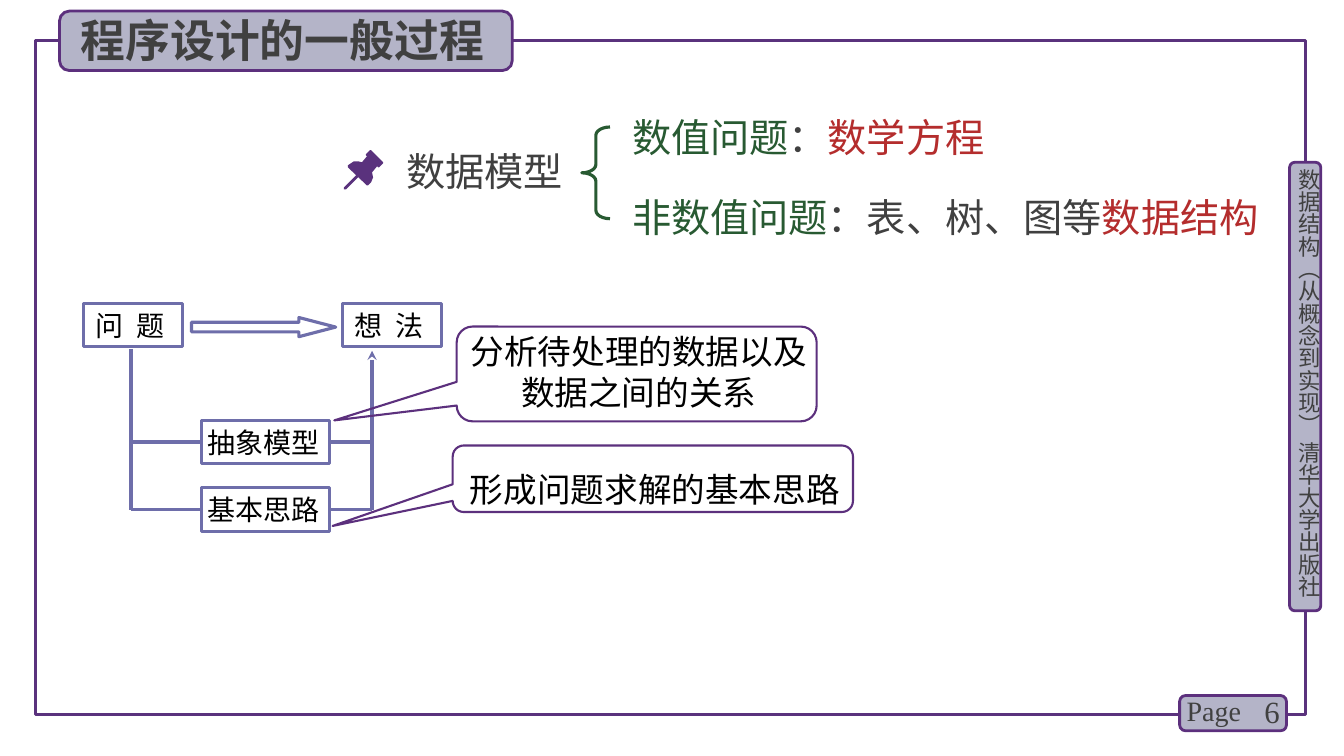
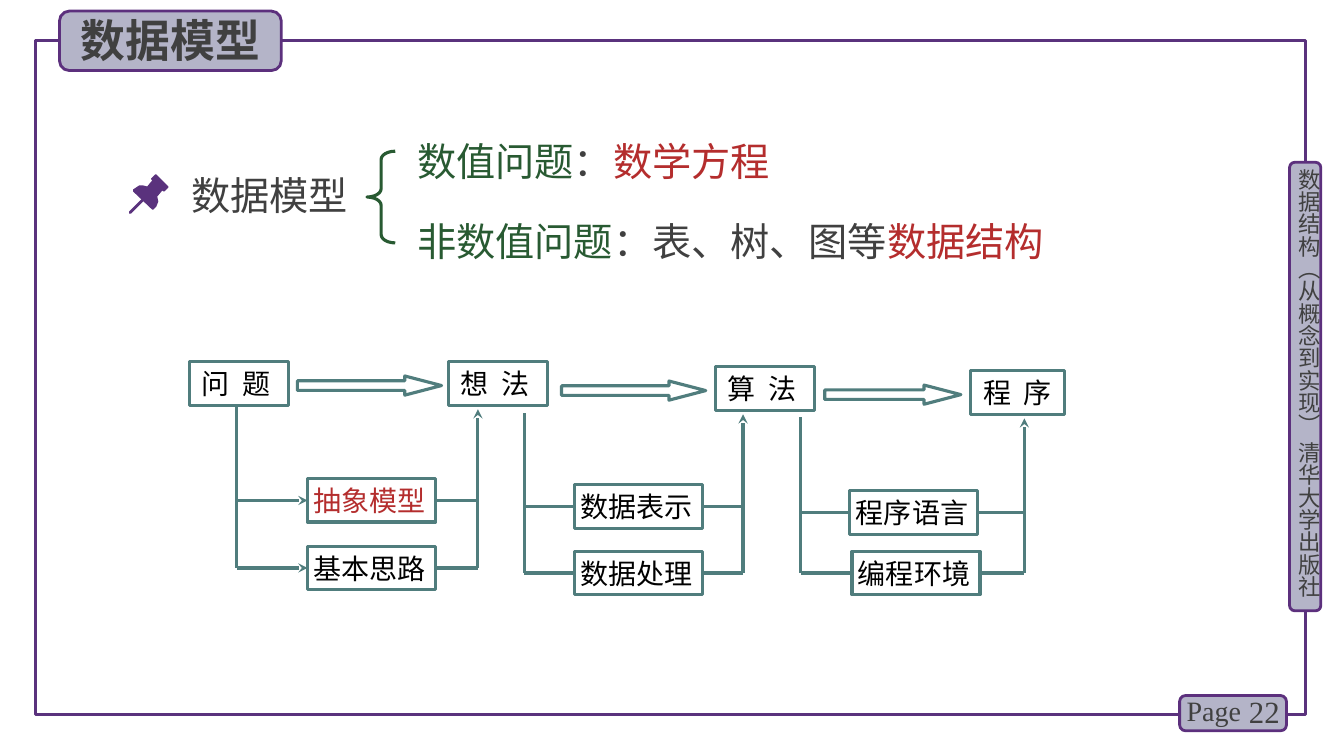
from dataclasses import dataclass

from lxml import etree
from pptx import Presentation
from pptx.dml.color import RGBColor
from pptx.enum import shapes, text
from pptx.oxml.ns import qn
from pptx.util import Inches, Pt

SHAPE = shapes.MSO_SHAPE
ALIGN = text.PP_ALIGN
ANCHOR = text.MSO_ANCHOR


@dataclass(frozen=True)
class Theme:
    frame: str = "5A327D"
    edge: str = "5C307D"
    band: str = "B4B4C8"
    ink: str = "404040"
    black: str = "000000"
    green: str = "285A32"
    red: str = "B42D2D"
    violet: str = "6E6EAA"
    teal: str = "507D7D"
    chinese: str = "Noto Sans CJK SC"
    latin: str = "Times New Roman"
    callout_font: str = "Calibri"
    title_size: int = 32
    body_size: int = 28
    callout_size: int = 24
    number_size: int = 22
    node_size: int = 20
    side_size: int = 16
    line: float = 2.25
    band_line: float = 2
    callout_line: float = 1.5


THEME = Theme()
NODE_HEIGHT = 0.43
HEAD_WIDTH = 0.98
DETAIL_WIDTH = 1.27

# Pin outline, measured from the top left corner of the pin
PIN_HEAD = [(.39, .12), (.27, 0), (.26, 0), (.22, .04), (.22, .05), (.23, .06), (.18, .12),
            (.14, .11), (.1, .11), (.04, .15), (.04, .17), (.23, .35), (.24, .35), (.27, .32),
            (.29, .27), (.28, .22), (.33, .16), (.34, .17), (.35, .17), (.39, .13)]
PIN_NEEDLE = [(.01, .39), (0, .39), (0, .37), (.13, .24), (.15, .24), (.15, .26), (.02, .39)]


@dataclass
class Stage:
    """One step of the process: from a head node, through two details, to the next head."""
    arrow: tuple    # left, width
    target: tuple   # text, left, top, width
    drop: tuple     # x, top
    details: list   # (text, left, top, colour)
    riser: float    # x
    pointed: bool = False


# Text
def add_span(para, words, size, color, font=THEME.chinese, bold=False, spacing=0):
    span = para.add_run()
    span.text = words
    span.font.size = Pt(size)
    span.font.bold = bold
    span.font.color.rgb = RGBColor.from_string(color)
    span.font.name = font
    properties = span.font._element
    etree.SubElement(properties, qn("a:ea")).set("typeface", font)
    if spacing:
        properties.set("spc", str(round(spacing * 100)))


def set_frame(box, insets=(0.1, 0.05, 0.1, 0.05), anchor=ANCHOR.MIDDLE, align=ALIGN.LEFT):
    frame = box.text_frame
    frame.word_wrap = True
    frame.auto_size = text.MSO_AUTO_SIZE.NONE
    frame.vertical_anchor = anchor
    (frame.margin_left, frame.margin_top,
     frame.margin_right, frame.margin_bottom) = map(Inches, insets)
    para = frame.paragraphs[0]
    para.alignment = align
    return para


def add_label(page, at, spans, size, font=THEME.chinese, align=ALIGN.LEFT, line_spacing=None):
    box = page.shapes.add_textbox(*map(Inches, at))
    para = set_frame(box, align=align)
    if line_spacing:
        para.line_spacing = line_spacing
    for words, color in spans:
        add_span(para, words, size, color, font)
    return box


# Shapes and lines
def style_shape(shape, line=None, width=THEME.line, fill=None):
    shape.shadow.inherit = False
    if fill:
        shape.fill.solid()
        shape.fill.fore_color.rgb = RGBColor.from_string(fill)
    else:
        shape.fill.background()
    if line:
        shape.line.color.rgb = RGBColor.from_string(line)
        shape.line.width = Pt(width)
    else:
        shape.line.fill.background()


def add_outline(page, kind, at, line, width=THEME.line, fill=None, adjustments=()):
    shape = page.shapes.add_shape(kind, *map(Inches, at))
    style_shape(shape, line, width, fill)
    for index, value in enumerate(adjustments):
        shape.adjustments[index] = value
    return shape


def add_band(page, at):
    add_outline(page, SHAPE.ROUNDED_RECTANGLE, at, THEME.edge, THEME.band_line, THEME.band)


def add_polygon(page, points, left, top, fill):
    places = [(Inches(left + x), Inches(top + y)) for x, y in points]
    builder = page.shapes.build_freeform(*places[0])
    builder.add_line_segments(places[1:], close=True)
    style_shape(builder.convert_to_shape(), fill=fill)


def add_line(page, start, end, color, pointed=False):
    line = page.shapes.add_connector(shapes.MSO_CONNECTOR.STRAIGHT, *map(Inches, start + end))
    line.line.color.rgb = RGBColor.from_string(color)
    line.line.width = Pt(THEME.line)
    if pointed:
        etree.SubElement(line.line._get_or_add_ln(), qn("a:tailEnd")).set("type", "stealth")
    etree.SubElement(line._element.spPr, qn("a:effectLst"))
    return line


def add_callout(page, at, tip, words, line_spacing=None):
    box = add_outline(page, SHAPE.ROUNDED_RECTANGULAR_CALLOUT, at, THEME.edge,
                      THEME.callout_line, adjustments=(*tip, 0.167))
    para = set_frame(box, (0.04, 0, 0, 0), ANCHOR.TOP, ALIGN.CENTER)
    if line_spacing:
        para.line_spacing = line_spacing
    add_span(para, words, THEME.callout_size, THEME.black, THEME.callout_font)


# Shared page furniture
def add_page(deck, title, band_width, number):
    page = deck.slides.add_slide(deck.slide_layouts[5])
    add_outline(page, SHAPE.RECTANGLE, (0.35, 0.4, 12.6, 6.69), THEME.frame)

    # Side band
    add_band(page, (12.79, 1.61, 0.31, 4.45))
    side = page.shapes.add_textbox(*map(Inches, (12.85, 1.67, 0.27, 4.49)))
    para = set_frame(side, (0, 0, 0, 0))
    side.text_frame._txBody.bodyPr.set("vert", "eaVert")
    add_span(para, "数据结构（从概念到实现） 清华大学出版社", THEME.side_size, THEME.ink)

    # Page number
    add_band(page, (11.7, 6.9, 1.06, 0.35))
    add_label(page, (12.2, 6.86, 0.59, 0.4), [(str(number), THEME.ink)],
              THEME.number_size, THEME.latin, ALIGN.RIGHT)
    add_label(page, (11.67, 6.83, 0.78, 0.44), [("Page", THEME.ink)],
              THEME.node_size, THEME.latin)

    # Title, brought in front of its band
    add_band(page, (0.59, 0.11, band_width, 0.59))
    box = page.shapes.title
    box.left, box.top, box.width, box.height = map(Inches, (0.7, 0.07, band_width, 0.64))
    add_span(set_frame(box), title, THEME.title_size, THEME.ink, bold=True)
    box.element.getparent().append(box.element)
    return page


# Data model summary
def add_data_model(page, left, top):
    for outline in (PIN_HEAD, PIN_NEEDLE):
        add_polygon(page, outline, left, top + 0.49, THEME.frame)
    add_label(page, (left + 0.52, top + 0.41, 1.83, 0.57), [("数据模型", THEME.ink)],
              THEME.body_size)
    add_outline(page, SHAPE.LEFT_BRACE, (left + 2.36, top + 0.26, 0.28, 0.91), THEME.green,
                adjustments=(0.293, 0.5))
    rows = [
        [("数值问题", THEME.green), ("：", THEME.ink), ("数学方程", THEME.red)],
        [("非数值问题", THEME.green), ("：表、树、图等", THEME.ink), ("数据结构", THEME.red)],
    ]
    for index, spans in enumerate(rows):
        add_label(page, (left + 2.76, top + 0.79 * index, 6.51, 0.62), spans,
                  THEME.body_size, line_spacing=1.2)


# Process diagram
def add_node(page, at, words, line, color=THEME.black, inset=0.06, spacing=0):
    box = add_outline(page, SHAPE.RECTANGLE, at, line)
    para = set_frame(box, (inset, 0.01, 0.06, 0.01))
    add_span(para, words, THEME.node_size, color, spacing=spacing)
    return box


def add_head(page, words, left, top, width, line):
    add_node(page, (left, top, width, NODE_HEIGHT), words, line, inset=0.12, spacing=2.25)


def add_stage(page, stage, line):
    words, target_left, target_top, target_width = stage.target
    add_head(page, words, target_left, target_top, target_width, line)
    arrow_left, arrow_width = stage.arrow
    add_outline(page, SHAPE.RIGHT_ARROW, (arrow_left, target_top + 0.14, arrow_width, 0.19),
                line, adjustments=(0.5, 1.918))

    drop_x, drop_top = stage.drop
    for words, left, top, color in stage.details:
        box = add_node(page, (left, top, DETAIL_WIDTH, NODE_HEIGHT), words, line, color)
        middle = top + NODE_HEIGHT / 2
        branch = add_line(page, (drop_x, middle), (left, middle), line, stage.pointed)
        branch.end_connect(box, 1)
        join = add_line(page, (left + DETAIL_WIDTH, middle), (stage.riser, middle), line)
        join.begin_connect(box, 3)

    add_line(page, (drop_x, drop_top), (drop_x, middle), line)
    add_line(page, (stage.riser, middle), (stage.riser, target_top + NODE_HEIGHT + 0.04),
             line, pointed=True)


def add_first_stage(page, left, top, line, model_color=THEME.black, pointed=False):
    add_head(page, "问 题", left, top, HEAD_WIDTH, line)
    add_stage(page, Stage(
        arrow=(left + 1.07, 1.43),
        target=("想 法", left + 2.57, top, HEAD_WIDTH),
        drop=(left + 0.47, top + 0.45),
        details=[("抽象模型", left + 1.17, top + 1.16, model_color),
                 ("基本思路", left + 1.17, top + 1.83, THEME.black)],
        riser=left + 2.86, pointed=pointed), line)


# Pages
def add_process_page(deck):
    page = add_page(deck, "程序设计的一般过程", 4.49, 6)
    add_first_stage(page, 0.83, 3.01, THEME.violet)
    add_data_model(page, 3.41, 1)
    add_callout(page, (4.53, 3.24, 3.57, 0.94), (-0.84, 0.49),
                "分析待处理的数据以及数据之间的关系")
    add_callout(page, (4.49, 4.42, 3.97, 0.66), (-0.8, 0.71),
                "形成问题求解的基本思路", line_spacing=1.5)


def add_model_page(deck):
    page = add_page(deck, "数据模型", 2.2, 22)
    add_data_model(page, 1.28, 1.24)
    add_first_stage(page, 1.88, 3.59, THEME.teal, THEME.red, pointed=True)
    later_stages = [
        Stage(arrow=(5.57, 1.43), target=("算 法", 7.1, 3.64, HEAD_WIDTH), drop=(5.2, 4.1),
              details=[("数据表示", 5.7, 4.81, THEME.black),
                       ("数据处理", 5.7, 5.47, THEME.black)], riser=7.37),
        Stage(arrow=(8.18, 1.35), target=("程 序", 9.63, 3.68, 0.93), drop=(7.94, 4.14),
              details=[("程序语言", 8.43, 4.87, THEME.black),
                       ("编程环境", 8.45, 5.47, THEME.black)], riser=10.16),
    ]
    for stage in later_stages:
        add_stage(page, stage, THEME.teal)


def main():
    deck = Presentation()
    deck.slide_width, deck.slide_height = Inches(13.33), Inches(7.5)
    add_process_page(deck)
    add_model_page(deck)
    deck.save("out.pptx")


if __name__ == "__main__":
    main()
